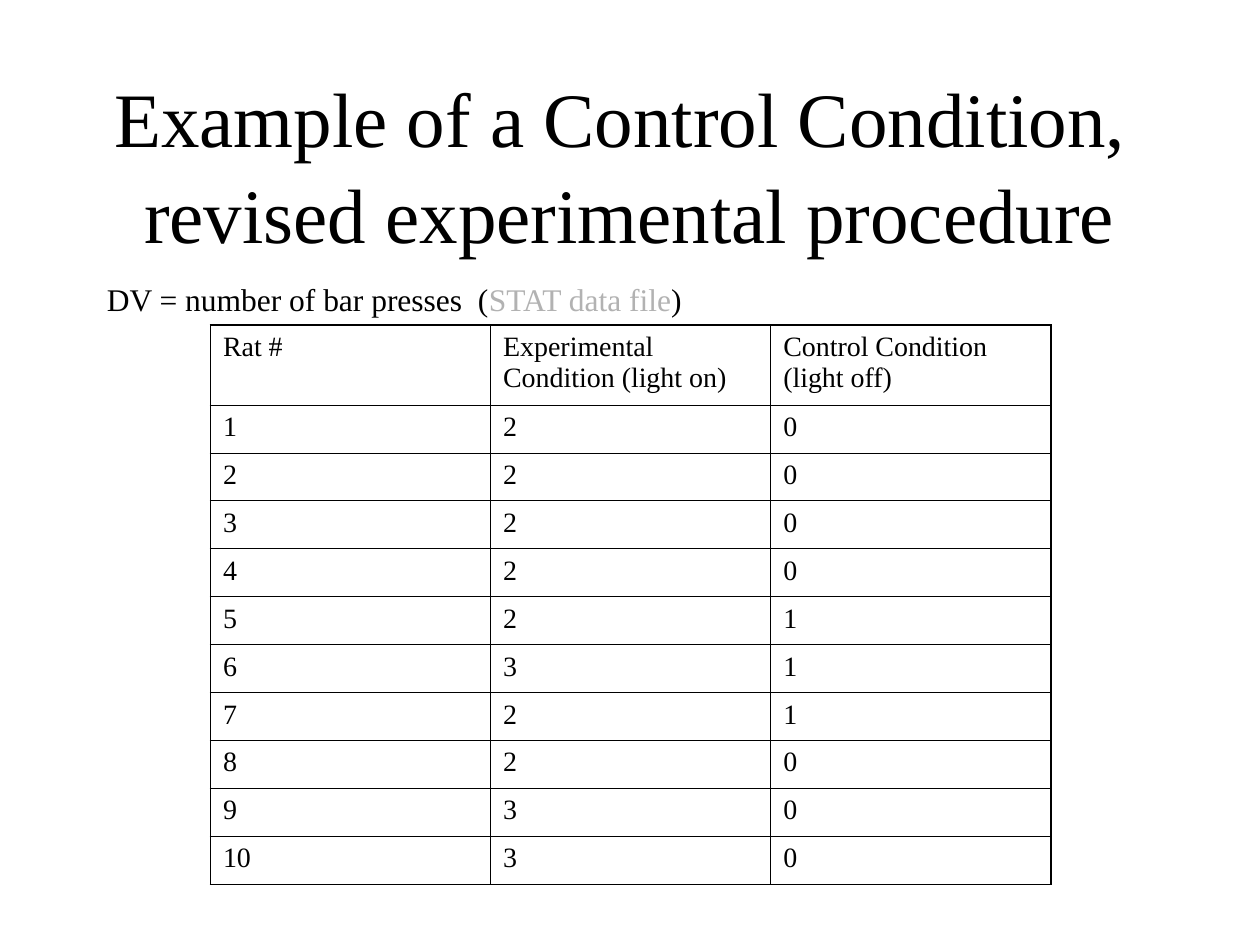
from pptx import Presentation
from pptx.dml.color import RGBColor
from pptx.enum.text import MSO_ANCHOR, PP_ALIGN
from pptx.oxml.ns import qn
from pptx.util import Inches, Pt
from lxml import etree

CENTER, LEFT = PP_ALIGN.CENTER, PP_ALIGN.LEFT
TOP, MIDDLE = MSO_ANCHOR.TOP, MSO_ANCHOR.MIDDLE
TITLE_ONLY = 5
FONT = "Times New Roman"
COLORS = {"text": "000000", "muted": "B2B2B2", "border": "000000"}
OUTER, INNER = Pt(1.08), Pt(0.45)

HEADERS = ["Rat #", "Experimental Condition (light on)", "Control Condition (light off)"]
EXPERIMENTAL = [2, 2, 2, 2, 2, 3, 2, 2, 3, 3]
CONTROL = [0, 0, 0, 0, 1, 1, 1, 0, 0, 0]


def write(tf, runs, size, align=LEFT, anchor=TOP, spacing=1.0):
    """Fill a text frame with one paragraph of (text, colour name) runs."""
    tf.word_wrap = True
    tf.vertical_anchor = anchor
    p = tf.paragraphs[0]
    p.alignment = align
    p.line_spacing = spacing
    for i, (text, color) in enumerate(runs):
        for j, line in enumerate(text.split("\n")):
            if j:
                p.add_line_break()
            r = p.add_run()
            r.text = line
            r.font.name = FONT
            r.font.size = Pt(size)
            r.font.color.rgb = RGBColor.from_string(COLORS[color])


def set_borders(cell, widths):
    """Draw the cell's left, right, top and bottom borders, in that order."""
    tc_pr = cell._tc.get_or_add_tcPr()
    for i, (side, width) in enumerate(zip("LRTB", widths)):
        ln = etree.Element(qn(f"a:ln{side}"), w=str(int(width)))
        fill = etree.SubElement(ln, qn("a:solidFill"))
        etree.SubElement(fill, qn("a:srgbClr"), val=COLORS["border"])
        tc_pr.insert(i, ln)


def add_title(s, left, top, width, height):
    sp = s.shapes.title
    sp.left, sp.top, sp.width, sp.height = left, top, width, height
    text = "Example of a Control Condition, \nrevised experimental procedure"
    write(sp.text_frame, [(text, "text")], 44, CENTER, MIDDLE, 1.04)


def add_variable_note(s, left, top, width, height):
    sp = s.shapes.add_textbox(left, top, width, height)
    runs = [("DV = number of bar presses  (", "text"),
            ("STAT data file", "muted"), (")", "text")]
    write(sp.text_frame, runs, 18)


def add_results_table(s, left, top, width, height):
    rats = range(1, len(CONTROL) + 1)
    rows = [HEADERS, *zip(rats, EXPERIMENTAL, CONTROL)]
    last_row, last_col = len(rows) - 1, len(HEADERS) - 1
    table = s.shapes.add_table(len(rows), len(HEADERS), left, top, width, height).table
    table.first_row = table.horz_banding = False
    header_height = Inches(0.63)
    for i, values in enumerate(rows):
        table.rows[i].height = (height - header_height) // last_row if i else header_height
        for j, value in enumerate(values):
            cell = table.cell(i, j)
            cell.fill.background()
            write(cell.text_frame, [(str(value), "text")], 16)
            on_edge = (j == 0, j == last_col, i == 0, i == last_row)
            set_borders(cell, [OUTER if edge else INNER for edge in on_edge])


def main():
    prs = Presentation()
    prs.slide_width, prs.slide_height = Inches(10), Inches(7.5)
    s = prs.slides.add_slide(prs.slide_layouts[TITLE_ONLY])
    add_title(s, Inches(0.75), Inches(0.67), Inches(8.5), Inches(1.25))
    add_variable_note(s, Inches(0.75), Inches(2.17), Inches(8.5), Inches(4.5))
    add_results_table(s, Inches(1.67), Inches(2.58), Inches(6.67), Inches(4.44))
    prs.save("out.pptx")


if __name__ == "__main__":
    main()
